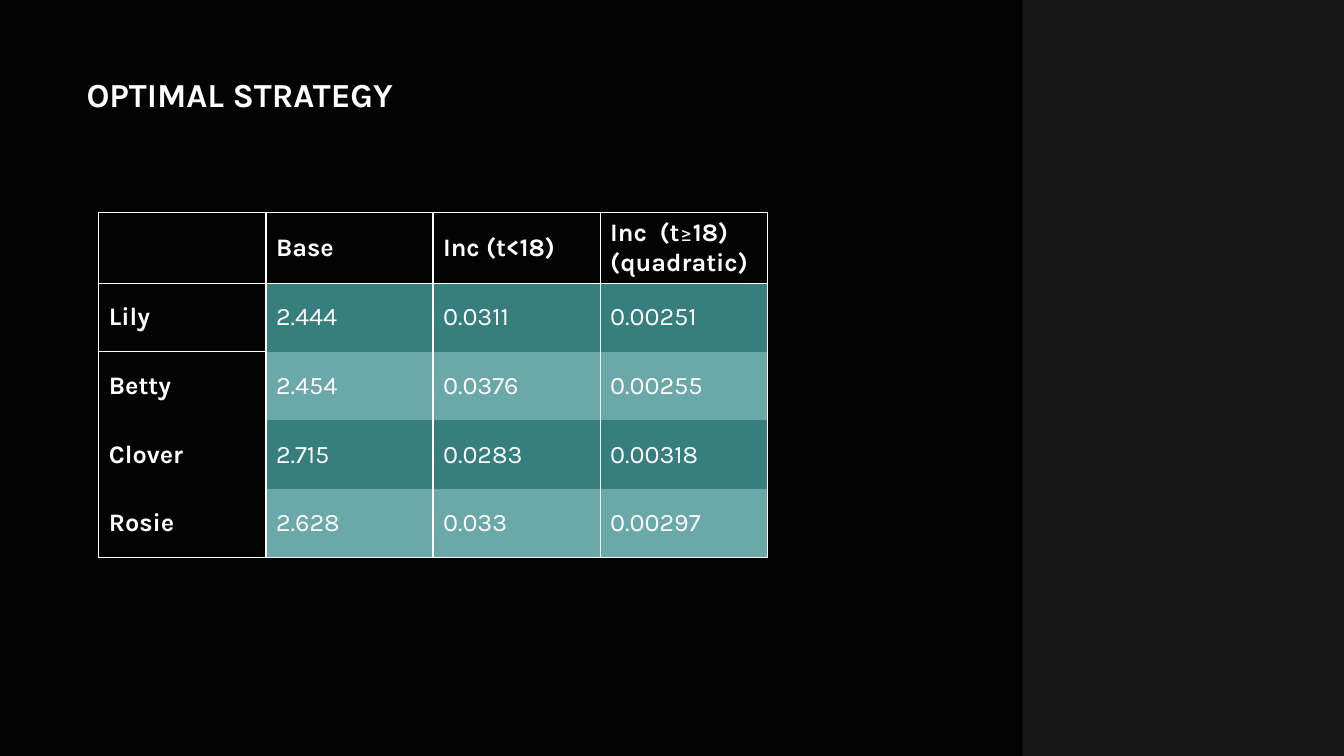
from dataclasses import dataclass

from lxml import etree
from pptx import Presentation
from pptx.dml.color import RGBColor
from pptx.enum.shapes import MSO_SHAPE
from pptx.enum.text import MSO_ANCHOR
from pptx.oxml.ns import qn
from pptx.util import Inches, Pt

RECTANGLE = MSO_SHAPE.RECTANGLE
MIDDLE = MSO_ANCHOR.MIDDLE
BORDER_TAGS = {"left": "a:lnL", "right": "a:lnR", "top": "a:lnT", "bottom": "a:lnB"}


@dataclass(frozen=True)
class Theme:
    font: str = "Karla"
    background: str = "030303"
    text: str = "FFFFFF"
    panel: str = "404040"
    bands: tuple = ("377E7F", "6BA8A9")
    title_size: int = 24
    table_size: int = 18
    border_width: int = 1
    panel_opacity: int = 34


class SlideBuilder:
    def __init__(self, page, theme):
        self.page = page
        self.theme = theme
        page.background.fill.solid()
        page.background.fill.fore_color.rgb = RGBColor.from_string(theme.background)

    def style(self, font, size, bold):
        font.name = self.theme.font
        font.size = Pt(size)
        font.bold = bold
        font.color.rgb = RGBColor.from_string(self.theme.text)

    def title(self, text, left, top, width, height):
        box = self.page.shapes.add_textbox(
            Inches(left), Inches(top), Inches(width), Inches(height))
        frame = box.text_frame
        frame.word_wrap = True
        frame.vertical_anchor = MIDDLE
        para = frame.paragraphs[0]
        para.text = text
        para.line_spacing = 0.9
        self.style(para.font, self.theme.title_size, True)

    def panel(self, left, top, width, height):
        shape = self.page.shapes.add_shape(
            RECTANGLE, Inches(left), Inches(top), Inches(width), Inches(height))
        shape.shadow.inherit = False
        shape.line.fill.background()
        shape.fill.solid()
        shape.fill.fore_color.rgb = RGBColor.from_string(self.theme.panel)
        color = shape.fill._xPr.find(".//" + qn("a:srgbClr"))
        etree.SubElement(color, qn("a:alpha"), val=str(self.theme.panel_opacity * 1000))

    def borders(self, cell, sides):
        properties = cell._tc.get_or_add_tcPr()
        for position, (side, tag) in enumerate(BORDER_TAGS.items()):
            visible = side in sides
            width = Pt(self.theme.border_width) if visible else 0
            line = etree.Element(qn(tag), w=str(width))
            if visible:
                fill = etree.SubElement(line, qn("a:solidFill"))
                etree.SubElement(fill, qn("a:srgbClr"), val=self.theme.text)
            else:
                etree.SubElement(line, qn("a:noFill"))
            properties.insert(position, line)

    def cell(self, cell, spans, bold, fill, sides):
        cell.vertical_anchor = MIDDLE
        cell.fill.solid()
        cell.fill.fore_color.rgb = RGBColor.from_string(fill)
        self.borders(cell, sides)
        para = cell.text_frame.paragraphs[0]
        self.style(para.font, self.theme.table_size, bold)
        for text, weight in spans:
            span = para.add_run()
            span.text = text
            if weight != bold:
                span.font.bold = weight

    def table(self, rows, left, top, width, height):
        frame = self.page.shapes.add_table(
            len(rows), len(rows[0]),
            Inches(left), Inches(top), Inches(width), Inches(height))
        table = frame.table
        last = len(rows) - 1
        for row_index, row in enumerate(rows):
            sides = {"left", "right"}
            if row_index <= 1:
                sides.add("top")
            if row_index in (0, last):
                sides.add("bottom")
            for column_index, content in enumerate(row):
                label = row_index == 0 or column_index == 0
                fill = self.theme.background if label else self.theme.bands[(row_index - 1) % 2]
                spans = [(content, label)] if isinstance(content, str) else content
                edges = set(sides)
                if column_index == 0 and row_index == 1:
                    edges.add("bottom")
                if column_index == 0 and row_index == 2:
                    edges.add("top")
                self.cell(table.cell(row_index, column_index), spans, label, fill, edges)


def main():
    deck = Presentation()
    deck.slide_width = Inches(13.33)
    deck.slide_height = Inches(7.5)
    page = deck.slides.add_slide(deck.slide_layouts[6])
    builder = SlideBuilder(page, Theme())
    builder.title("OPTIMAL STRATEGY", 0.76, 0.56, 11.81, 0.79)
    quadratic = [("Inc  (t", True), ("≥", False), ("18) (quadratic)", True)]
    rows = [
        ["", "Base", "Inc (t<18)", quadratic],
        ["Lily", "2.444", "0.0311", "0.00251"],
        ["Betty", "2.454", "0.0376", "0.00255"],
        ["Clover", "2.715", "0.0283", "0.00318"],
        ["Rosie", "2.628", "0.033", "0.00297"],
    ]
    builder.table(rows, 0.98, 2.11, 6.63, 3.4)
    builder.panel(10.14, 0, 3.19, 7.5)
    deck.save("out.pptx")


if __name__ == "__main__":
    main()
